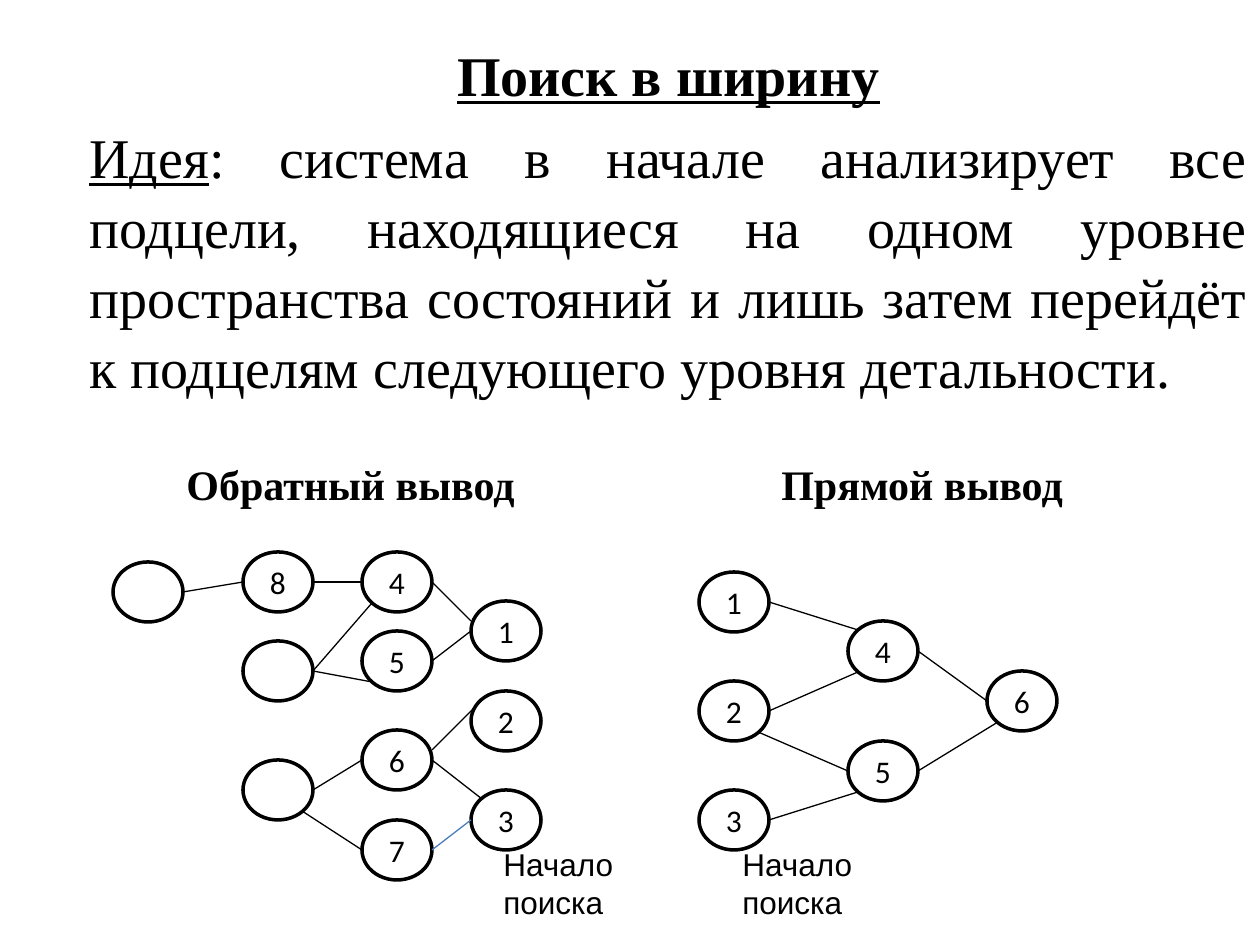
from lxml.etree import SubElement
from pptx import Presentation
from pptx.dml.color import RGBColor
from pptx.enum.shapes import MSO_CONNECTOR, MSO_SHAPE
from pptx.enum.text import MSO_ANCHOR, PP_ALIGN
from pptx.oxml.ns import qn
from pptx.util import Pt

PX = 914400 // 126
BLACK = RGBColor(0x00, 0x00, 0x00)
WHITE = RGBColor(0xFF, 0xFF, 0xFF)
BLUE = RGBColor(0x4A, 0x7E, 0xBB)
SERIF = "Times New Roman"
NODE_W, NODE_H = 70, 60

prs = Presentation()
prs.slide_width, prs.slide_height = 1260 * PX, 945 * PX
s = prs.slides.add_slide(prs.slide_layouts[6])


def add_text(p, text, size=18, font="Calibri", bold=False, underline=False,
             align=PP_ALIGN.LEFT):
    p.alignment = align
    r = p.add_run()
    r.text = text
    r.font.size = Pt(size)
    r.font.name = font
    r.font.bold = bold
    r.font.underline = underline
    r.font.color.rgb = BLACK


def add_box(x, y, w, h, wrap=True):
    tf = s.shapes.add_textbox(x * PX, y * PX, w * PX, h * PX).text_frame
    tf.word_wrap = wrap
    return tf


# Title and idea
tf = add_box(77, 26, 1183, 904)
tf.margin_top = 12 * PX
title = tf.paragraphs[0]
add_text(title, "Поиск в ширину", size=32, font=SERIF, bold=True,
         underline=True, align=PP_ALIGN.CENTER)
idea = tf.add_paragraph()
idea.space_before = Pt(7)
add_text(idea, "Идея", size=32, font=SERIF, underline=True)
add_text(idea, ": система в начале анализирует все подцели, находящиеся на "
         "одном уровне пространства состояний и лишь затем перейдёт к "
         "подцелям следующего уровня детальности.",
         size=32, font=SERIF, align=PP_ALIGN.JUSTIFY)
for p in (title, idea):
    p.line_spacing = 1.04

# Graph headings
for x, w, text in ((174, 367, "Обратный вывод"), (769, 338, "Прямой вывод")):
    add_text(add_box(x, 452, w, 63).paragraphs[0], text, size=24, font=SERIF,
             bold=True)

# Nodes: name -> left, top, label
nodes = {
    "start": (113, 562, ""),
    "b8": (243, 552, "8"), "upper": (243, 641, ""), "lower": (243, 760, ""),
    "b4": (362, 552, "4"), "b5": (362, 631, "5"),
    "b6": (362, 730, "6"), "b7": (362, 820, "7"),
    "b1": (471, 601, "1"), "b2": (471, 691, "2"), "b3": (471, 790, "3"),
    "f1": (699, 572, "1"), "f2": (699, 681, "2"), "f3": (699, 790, "3"),
    "f4": (848, 621, "4"), "f5": (848, 741, "5"), "f6": (987, 671, "6"),
}
for x, y, label in nodes.values():
    sp = s.shapes.add_shape(MSO_SHAPE.OVAL, x * PX, y * PX, NODE_W * PX,
                            NODE_H * PX)
    sp.shadow.inherit = False
    sp.fill.solid()
    sp.fill.fore_color.rgb = WHITE
    sp.line.color.rgb = BLACK
    sp.line.width = Pt(2)
    if label:
        sp.text_frame.vertical_anchor = MSO_ANCHOR.MIDDLE
        add_text(sp.text_frame.paragraphs[0], label, align=PP_ALIGN.CENTER)

# Edges join points on the node outlines, given as fractions of the node size
sites = {"left": (0, 0.5), "right": (1, 0.5), "top left": (0.15, 0.15),
         "bottom left": (0.15, 0.85), "bottom right": (0.85, 0.85),
         "high left": (0, 0.33), "high right": (1, 0.33)}
edges = [
    ("b2", "top left", "b6", "high right"), ("b3", "top left", "b6", "right"),
    ("b4", "left", "b8", "right"), ("b5", "bottom left", "upper", "right"),
    ("b6", "left", "lower", "right"), ("b1", "high left", "b4", "right"),
    ("b8", "left", "start", "right"), ("b7", "left", "lower", "bottom right"),
    ("b1", "left", "b5", "right"), ("b3", "left", "b7", "right"),
    ("b4", "bottom left", "upper", "right"),
    ("f1", "right", "f4", "top left"), ("f4", "right", "f6", "left"),
    ("f2", "right", "f4", "bottom left"), ("f3", "right", "f5", "bottom left"),
    ("f5", "right", "f6", "bottom left"), ("f2", "bottom right", "f5", "left"),
]
for a, a_site, b, b_site in edges:
    ends = []
    for name, site in ((a, a_site), (b, b_site)):
        x, y, label = nodes[name]
        fx, fy = sites[site]
        ends += [round(x + fx * NODE_W) * PX, round(y + fy * NODE_H) * PX]
    line = s.shapes.add_connector(MSO_CONNECTOR.STRAIGHT, *ends)
    line.line.color.rgb = BLUE if (a, b) == ("b3", "b7") else BLACK
    line.line.width = Pt(0.75)
    SubElement(line._element.spPr, qn("a:effectLst"))

# Search start captions
for x in (491, 730):
    tf = add_box(x, 839, 144, 88, wrap=False)
    add_text(tf.paragraphs[0], "Начало", font="Arial")
    add_text(tf.add_paragraph(), "поиска", font="Arial")

prs.save("out.pptx")
